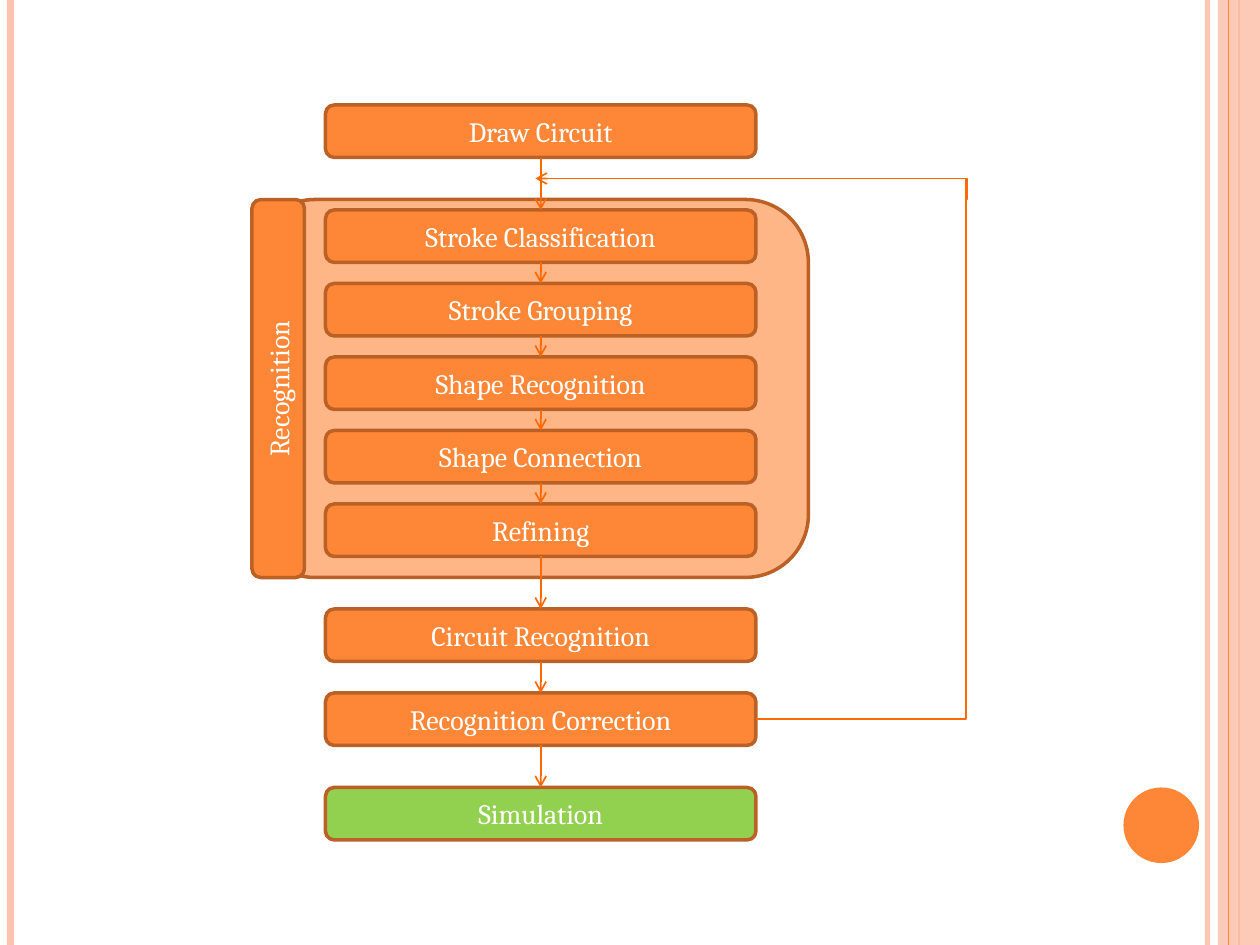
"""Builds a flowchart slide of a circuit sketch recognition process."""
from lxml.etree import SubElement
from pptx import Presentation
from pptx.dml.color import RGBColor
from pptx.enum.shapes import MSO_CONNECTOR as Link, MSO_SHAPE as Shape
from pptx.enum.text import MSO_ANCHOR as Anchor, PP_ALIGN as Align
from pptx.oxml.ns import qn
from pptx.util import Pt

PX = 7620
WIDTH, HEIGHT = 1200, 900
COLORS = {
    "stripe": "FEC3AE",
    "orange": "FE8637",
    "panel": "FEB687",
    "border": "BB6126",
    "arrow": "FF6903",
    "green": "92D050",
    "white": "FFFFFF",
}
FONT = {"name": "Cambria", "size": Pt(16)}
FRAME = {"word_wrap": True, "vertical_anchor": Anchor.MIDDLE}
BOX_LEFT, BOX_WIDTH, BOX_HEIGHT = 310, 410, 50
BOX_CENTER = BOX_LEFT + BOX_WIDTH // 2
RECOGNITION_STEPS = [
    "Stroke Classification",
    "Stroke Grouping",
    "Shape Recognition",
    "Shape Connection",
    "Refining",
]
STEPS = (
    [("Draw Circuit", 100, "orange")]
    + [(label, 200 + 70 * i, "orange") for i, label in enumerate(RECOGNITION_STEPS)]
    + [
        ("Circuit Recognition", 580, "orange"),
        ("Recognition Correction", 660, "orange"),
        ("Simulation", 750, "green"),
    ]
)


def rgb(name):
    """Return the named colour."""
    return RGBColor.from_string(COLORS[name])


def set_all(target, values):
    """Set each attribute in values on the target."""
    for name, value in values.items():
        setattr(target, name, value)


def set_alpha(element, percent):
    """Set the opacity of the first solid colour in the element."""
    color = next(element.iter(qn("a:srgbClr")))
    SubElement(color, qn("a:alpha"), val=str(percent * 1000))


def add_figure(page, kind, bounds, fill, border=None, alpha=None):
    """Add a filled shape, with a border if one is named."""
    figure = page.shapes.add_shape(kind, *(value * PX for value in bounds))
    figure.shadow.inherit = False
    figure.fill.solid()
    figure.fill.fore_color.rgb = rgb(fill)
    if border:
        figure.line.color.rgb = rgb(border)
        figure.line.width = Pt(2)
    else:
        figure.line.fill.background()
    if alpha:
        set_alpha(figure.fill._xPr, alpha)
    return figure


def add_box(page, label, bounds, fill="orange", rotation=0):
    """Add a rounded box with a centred label."""
    box = add_figure(page, Shape.ROUNDED_RECTANGLE, bounds, fill, "border")
    box.rotation = rotation
    set_all(box.text_frame, FRAME)
    para = box.text_frame.paragraphs[0]
    para.alignment = Align.CENTER
    span = para.add_run()
    span.text = label
    set_all(span.font, FONT)
    span.font.color.rgb = rgb("white")


def add_line(page, start, end, color="arrow", width=1, head=False, bend=None, alpha=None):
    """Add a line, elbowed when a bend is given, with an optional arrowhead."""
    kind = Link.STRAIGHT if bend is None else Link.ELBOW
    line = page.shapes.add_connector(kind, *(value * PX for value in start + end))
    line.line.color.rgb = rgb(color)
    line.line.width = Pt(width)
    properties = line._element.spPr
    outline = properties.find(qn("a:ln"))
    if alpha:
        set_alpha(outline, alpha)
    if head:
        SubElement(outline, qn("a:tailEnd"), type="arrow")
    if bend is not None:
        guides = next(properties.iter(qn("a:avLst")))
        SubElement(guides, qn("a:gd"), name="adj1", fmla=f"val {bend}")
    SubElement(properties, qn("a:effectLst"))


def add_stripe(page, x, color, width, alpha=None):
    """Add a decorative line over the full height of the page."""
    add_line(page, (x, 0), (x, HEIGHT), color, width, alpha=alpha)


def add_decoration(page):
    """Add the side stripes and the corner disc."""
    add_stripe(page, 1150, "stripe", 3, alpha=93)
    add_stripe(page, 10, "stripe", 4.5)
    add_stripe(page, 1180, "orange", 1.5)
    add_figure(page, Shape.RECTANGLE, (1160, 0, 40, HEIGHT), "stripe", alpha=87)
    add_stripe(page, 1170, "orange", 0.75)
    add_figure(page, Shape.OVAL, (1070, 750, 72, 72), "orange")


def add_flowchart(page):
    """Add the recognition panel, the steps and the arrows between them."""
    add_figure(page, Shape.ROUNDED_RECTANGLE, (240, 190, 530, 360), "panel", "border")
    add_box(page, "Recognition", (85, 345, 360, 50), rotation=270)
    for label, top, fill in STEPS:
        add_box(page, label, (BOX_LEFT, top, BOX_WIDTH, BOX_HEIGHT), fill)
    for (_, top, _), (_, next_top, _) in zip(STEPS, STEPS[1:]):
        add_line(page, (BOX_CENTER, top + BOX_HEIGHT), (BOX_CENTER, next_top), head=True)
    add_line(page, (BOX_LEFT + BOX_WIDTH, 685), (920, 170), bend=100000)
    add_line(page, (920, 190), (510, 170), head=True, bend=-300)


def main():
    """Build and save the deck."""
    deck = Presentation()
    set_all(deck, {"slide_width": WIDTH * PX, "slide_height": HEIGHT * PX})
    page = deck.slides.add_slide(deck.slide_layouts[6])
    add_decoration(page)
    add_flowchart(page)
    deck.save("out.pptx")


if __name__ == "__main__":
    main()
